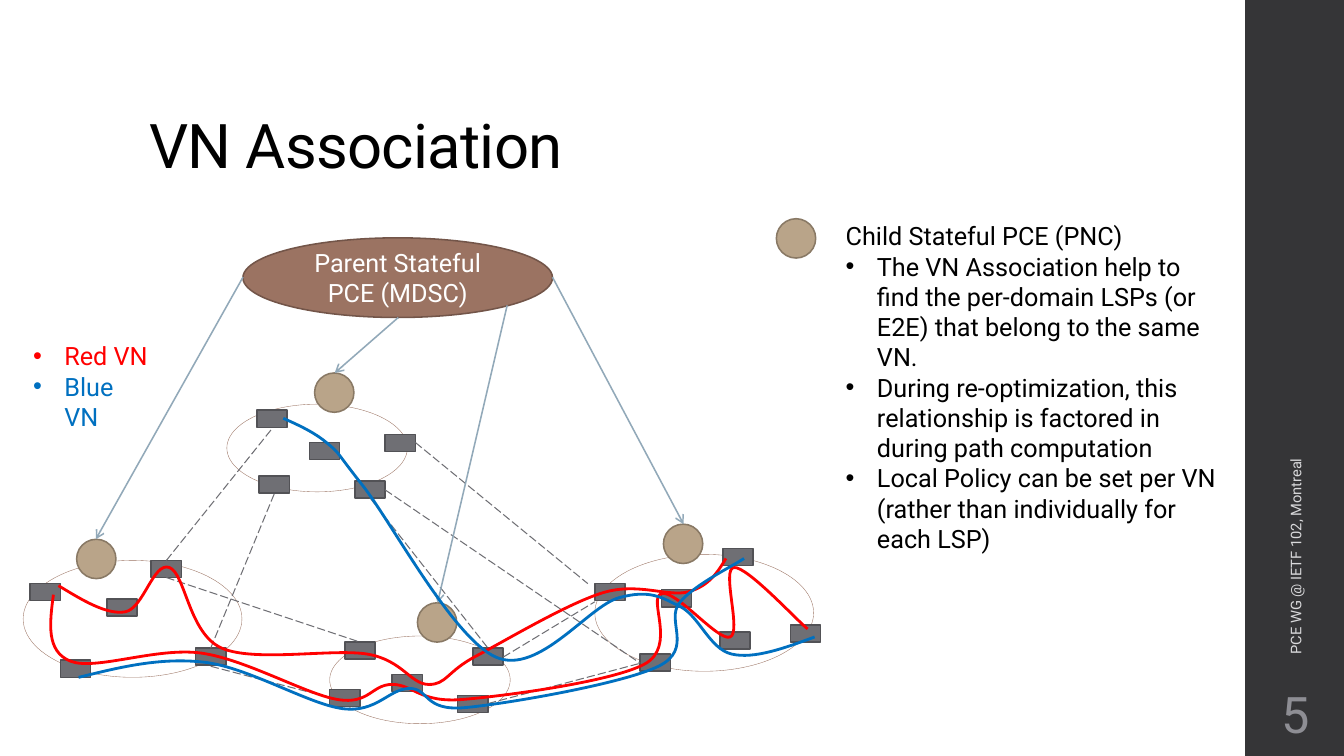
from dataclasses import dataclass

from lxml.etree import SubElement
from pptx import Presentation
from pptx.dml.color import RGBColor
from pptx.enum.dml import MSO_LINE
from pptx.enum.shapes import MSO_CONNECTOR, MSO_SHAPE
from pptx.enum.text import MSO_ANCHOR as ANCHOR, MSO_AUTO_SIZE, PP_ALIGN as ALIGN
from pptx.oxml.ns import qn
from pptx.util import Inches, Pt

FONT = "Roboto"
BLACK = RGBColor(0x00, 0x00, 0x00)
WHITE = RGBColor(0xFF, 0xFF, 0xFF)
SIDEBAR = RGBColor(0x35, 0x35, 0x37)
FOOTER = RGBColor(0xD9, 0xD9, 0xDB)
PAGE_NO = RGBColor(0x8E, 0x8E, 0x94)
BROWN = RGBColor(0x9B, 0x73, 0x62)
BROWN_EDGE = RGBColor(0x73, 0x55, 0x49)
TAN = RGBColor(0xB9, 0xA4, 0x89)
TAN_EDGE = RGBColor(0x89, 0x79, 0x65)
GRAY = RGBColor(0x6F, 0x6F, 0x74)
GRAY_EDGE = RGBColor(0x52, 0x52, 0x56)
ARROW = RGBColor(0x92, 0xA9, 0xB9)
RED = RGBColor(0xFF, 0x00, 0x00)
BLUE = RGBColor(0x00, 0x70, 0xC0)

Point = tuple[float, float]
Box = tuple[float, float, float, float]


@dataclass(frozen=True)
class Look:
    fill: RGBColor | None
    line: RGBColor | None
    width: float = 1.1


@dataclass(frozen=True)
class Tunnel:
    color: RGBColor
    knots: list[Point]
    loose_end: bool = True


@dataclass(frozen=True)
class Para:
    text: str
    color: RGBColor = BLACK
    bullet: bool = True


DOMAIN = Look(None, BROWN, 0.25)
NODE = Look(GRAY, GRAY_EDGE)
CHILD = Look(TAN, TAN_EDGE)
PARENT = Look(BROWN, BROWN_EDGE)

DOMAINS = [(0.23, 5.56, 2.17, 1.16), (3.27, 6.31, 1.79, 0.87),
           (2.25, 4.01, 1.79, 0.87), (5.9, 5.5, 2.17, 1.16)]
NODES = [
    (2.55, 4.07), (3.52, 4.77), (3.82, 4.31), (2.57, 4.72), (3.07, 4.39),
    (7.84, 6.2), (7.17, 5.44), (6.35, 6.49), (5.9, 5.79), (6.56, 5.85), (7.14, 6.27),
    (1.94, 6.43), (1.5, 5.56), (0.6, 6.55), (0.3, 5.79), (1.06, 5.94),
    (4.54, 6.9), (3.27, 6.84), (3.42, 6.37), (4.69, 6.43), (3.89, 6.69),
]
LINKS = [
    ((3.67, 4.94), (4.84, 6.43)), ((1.65, 5.56), (2.7, 4.25)),
    ((2.09, 6.61), (3.27, 6.92)), ((1.65, 5.73), (3.57, 6.37)),
    ((4.12, 4.39), (5.83, 5.79)), ((4.99, 6.52), (5.9, 5.97)),
    ((3.82, 4.86), (6.35, 6.58)), ((4.84, 6.98), (6.35, 6.58)),
    ((2.72, 4.9), (2.09, 6.43)),
]
CHILDREN = [(0.76, 5.35), (3.12, 3.7), (4.14, 5.98), (6.58, 5.2), (7.7, 2.17)]
ARROWS = [
    ((2.41, 2.75), (0.95, 5.35)), ((5.48, 2.75), (6.78, 5.2)),
    ((3.95, 3.15), (3.32, 3.7)), ((5.03, 3.03), (4.34, 5.98)),
]
TUNNELS = [
    Tunnel(RED, [(0.53, 5.9), (0.7, 6.56), (2, 6.48), (3.35, 6.94), (3.89, 6.79),
                 (4.58, 6.94), (6.39, 6.59), (6.56, 5.89), (7.24, 6.32),
                 (7.28, 5.63), (8.01, 6.24)], loose_end=False),
    Tunnel(RED, [(0.58, 5.81), (1.24, 6.07), (1.68, 5.63), (2.2, 6.43), (3.65, 6.49),
                 (4.25, 6.79), (4.72, 6.51), (5.98, 5.88), (6.83, 5.87), (7.2, 5.54)]),
    Tunnel(BLUE, [(2.81, 4.15), (3.25, 4.4), (3.6, 4.82), (4.92, 6.52), (6.14, 5.93),
                  (6.75, 6.02), (7.26, 6.49), (8.08, 6.32)]),
    Tunnel(BLUE, [(0.78, 6.72), (2.03, 6.57), (3.4, 7.03), (4.06, 6.83), (4.61, 7.02),
                  (6.53, 6.61), (6.74, 5.98), (7.38, 5.54)], loose_end=False),
]
BENEFITS = [
    Para("Child Stateful PCE (PNC)", bullet=False),
    Para("The VN Association help to find the per-domain LSPs (or E2E) "
         "that belong to the same VN. "),
    Para("During re-optimization, this relationship is factored in during path computation"),
    Para("Local Policy can be set per VN (rather than individually for each LSP)"),
]
LEGEND = [Para("Red VN", RED), Para("Blue VN", BLUE)]


def style(p, size: float, color: RGBColor) -> None:
    for r in p.runs:
        r.font.name, r.font.size, r.font.color.rgb = FONT, Pt(size), color


def add_preset(s, kind: MSO_SHAPE, box: Box, look: Look):
    sp = s.shapes.add_shape(kind, *map(Inches, box))
    sp.shadow.inherit = False
    if look.fill is None:
        sp.fill.background()
    else:
        sp.fill.solid()
        sp.fill.fore_color.rgb = look.fill
    if look.line is None:
        sp.line.fill.background()
    else:
        sp.line.color.rgb = look.line
        sp.line.width = Pt(look.width)
    return sp


def add_text(s, box: Box, paras: list[Para], size: float, anchor=ANCHOR.TOP):
    sp = s.shapes.add_textbox(*map(Inches, box))
    tf = sp.text_frame
    tf.word_wrap, tf.vertical_anchor = True, anchor
    for i, para in enumerate(paras):
        p = tf.add_paragraph() if i else tf.paragraphs[0]
        p.text = para.text
        style(p, size, para.color)
        if para.bullet:
            pPr = p._p.get_or_add_pPr()
            pPr.set("marL", str(Inches(0.31)))
            pPr.set("indent", str(-Inches(0.31)))
            SubElement(pPr, qn("a:buFont"), typeface="Arial")
            SubElement(pPr, qn("a:buChar"), char="•")
    return sp


def add_line(s, start: Point, end: Point, color: RGBColor, width: float, arrow: bool) -> None:
    cx = s.shapes.add_connector(MSO_CONNECTOR.STRAIGHT, *map(Inches, start + end))
    cx.line.color.rgb, cx.line.width = color, Pt(width)
    if arrow:
        SubElement(cx.line._get_or_add_ln(), qn("a:tailEnd"), type="arrow")
    else:
        cx.line.dash_style = MSO_LINE.LONG_DASH
    SubElement(cx._element.spPr, qn("a:effectLst"))


def midpoint(a: Point, b: Point) -> Point:
    return (a[0] + b[0]) / 2, (a[1] + b[1]) / 2


def spline_controls(tunnel: Tunnel) -> list[tuple[Point, Point]]:
    k = tunnel.knots
    around = zip([k[0], *k], k, [*k[1:], k[-1]])
    slopes = [((c[0] - a[0]) / 6, (c[1] - a[1]) / 6) for a, _, c in around]
    leave = [(x + dx, y + dy) for (x, y), (dx, dy) in zip(k, slopes)]
    arrive = [(x - dx, y - dy) for (x, y), (dx, dy) in zip(k, slopes)]
    leave[0] = midpoint(k[0], arrive[1])
    if tunnel.loose_end:
        arrive[-1] = midpoint(leave[-2], k[-1])
    return list(zip(leave, arrive[1:]))


def add_tunnel(s, tunnel: Tunnel) -> None:
    knots = [(Inches(x), Inches(y)) for x, y in tunnel.knots]
    builder = s.shapes.build_freeform(*knots[0], scale=1.0)
    builder.add_line_segments(knots[1:], close=False)
    sp = builder.convert_to_shape()
    sp.shadow.inherit = False
    sp.fill.background()
    sp.line.color.rgb, sp.line.width = tunnel.color, Pt(2)
    segments = sp._element.xpath(".//a:lnTo")
    for segment, controls in zip(segments, spline_controls(tunnel)):
        segment.tag = qn("a:cubicBezTo")
        for i, (x, y) in enumerate(controls):
            pt = segment.makeelement(qn("a:pt"), {"x": str(Inches(x) - sp.left),
                                                  "y": str(Inches(y) - sp.top)})
            segment.insert(i, pt)


prs = Presentation()
prs.slide_width, prs.slide_height = Inches(13.33), Inches(7.5)
s = prs.slides.add_slide(prs.slide_layouts[5])

title = s.shapes.title
title.left, title.top, title.width, title.height = map(Inches, (1.38, 0.4, 10.6, 1.45))
tf = title.text_frame
tf.text = "VN Association "
tf.vertical_anchor = ANCHOR.BOTTOM
p = tf.paragraphs[0]
p.alignment, p.line_spacing = ALIGN.LEFT, 0.9
style(p, 44, BLACK)
p.runs[0].font._element.set("spc", "-50")

add_preset(s, MSO_SHAPE.RECTANGLE, (12.35, 0, 1, 7.5), Look(SIDEBAR, None))
footer = add_text(s, (10.89, 4.43, 3.92, 0.4),
                  [Para("PCE WG @ IETF 102, Montreal", FOOTER, False)], 10.5, ANCHOR.MIDDLE)
footer.rotation = 270
number = add_text(s, (12.35, 6.75, 1, 0.65), [Para("5", PAGE_NO, False)], 36, ANCHOR.MIDDLE)
tf = number.text_frame
tf.margin_left = tf.margin_right = tf.margin_top = tf.margin_bottom = Inches(0.05)
tf.paragraphs[0].alignment = ALIGN.CENTER

for box in DOMAINS:
    add_preset(s, MSO_SHAPE.OVAL, box, DOMAIN)
for corner in NODES:
    add_preset(s, MSO_SHAPE.RECTANGLE, corner + (0.3, 0.17), NODE)
for start, end in LINKS:
    add_line(s, start, end, GRAY, 0.75, arrow=False)
for corner in CHILDREN:
    add_preset(s, MSO_SHAPE.OVAL, corner + (0.39, 0.39), CHILD)

parent = add_preset(s, MSO_SHAPE.OVAL, (2.41, 2.36, 3.07, 0.79), PARENT)
tf = parent.text_frame
tf.text = "Parent Stateful PCE (MDSC)"
tf.word_wrap, tf.vertical_anchor = True, ANCHOR.MIDDLE
tf.paragraphs[0].alignment = ALIGN.CENTER
style(tf.paragraphs[0], 18, WHITE)

for start, end in ARROWS:
    add_line(s, start, end, ARROW, 1.1, arrow=True)
for tunnel in TUNNELS:
    add_tunnel(s, tunnel)
for box, paras in (((8.29, 2.14, 3.87, 3.43), BENEFITS), ((0.23, 3.33, 1.39, 0.71), LEGEND)):
    add_text(s, box, paras, 18).text_frame.auto_size = MSO_AUTO_SIZE.SHAPE_TO_FIT_TEXT

prs.save("out.pptx")
